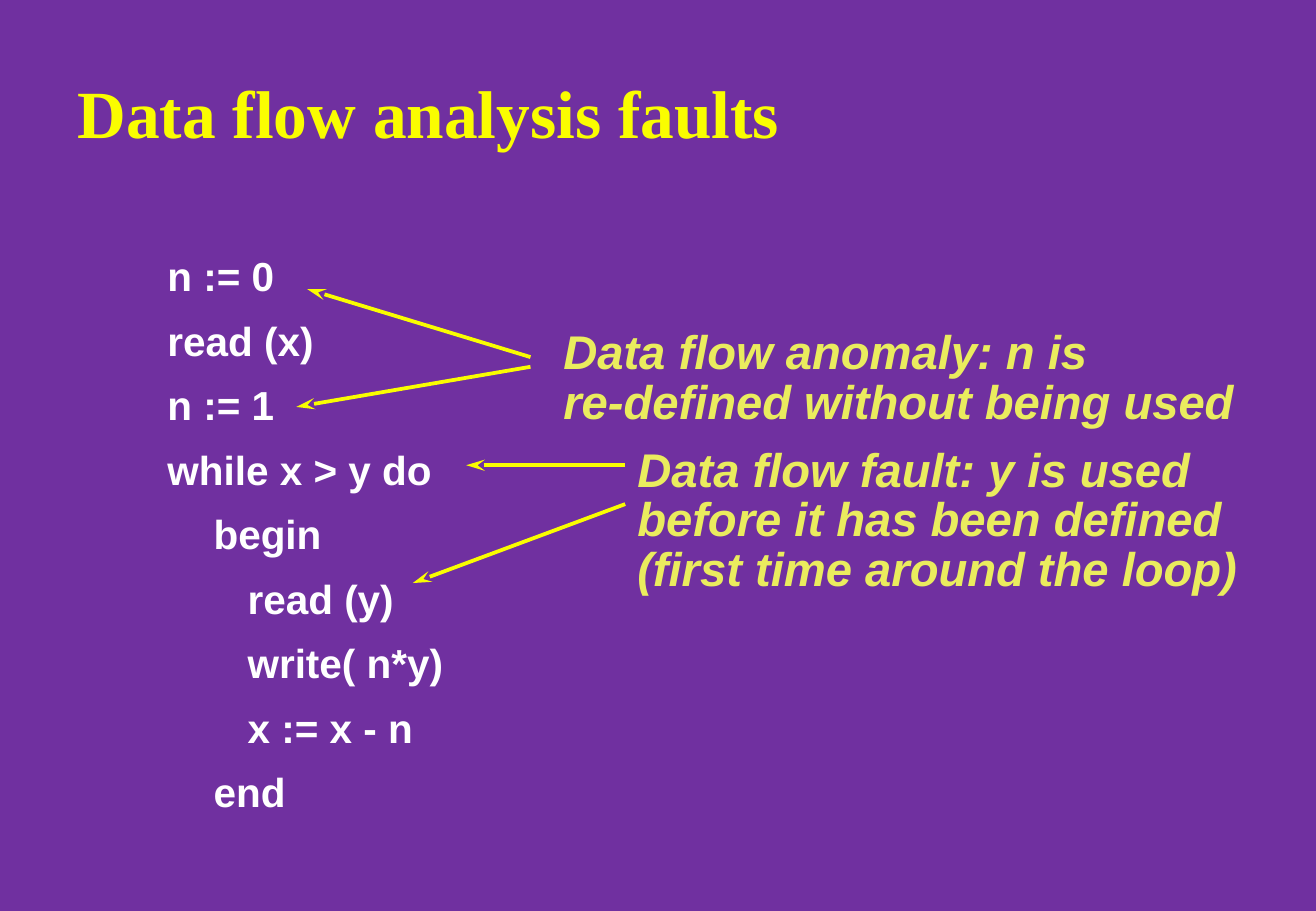
from dataclasses import dataclass

import lxml.etree
import pptx
import pptx.dml.color
import pptx.enum.shapes
import pptx.enum.text
import pptx.oxml.ns
import pptx.util

Inches = pptx.util.Inches
Pt = pptx.util.Pt


@dataclass
class Theme:
    background: str = "7030A0"
    accent: str = "FAFD00"
    code: str = "FFFFFF"
    note: str = "EAEC5E"
    heading_font: str = "Times New Roman"
    body_font: str = "Arial"
    title_size: float = 40
    code_size: float = 24
    note_size: float = 28
    line_width: float = 2.25


def rgb(value):
    return pptx.dml.color.RGBColor.from_string(value)


class Deck:
    def __init__(self, theme):
        self.theme = theme
        self.prs = pptx.Presentation()
        self.prs.slide_width = Inches(10.84)
        self.prs.slide_height = Inches(7.5)
        self.s = self.prs.slides.add_slide(self.prs.slide_layouts[6])
        fill = self.s.background.fill
        fill.solid()
        fill.fore_color.rgb = rgb(theme.background)

    def text(self, shapes, box, lines, font, size, color, margins=(0.07, 0.03),
             italic=False, spacing=None):
        sp = shapes.add_textbox(*map(Inches, box))
        tf = sp.text_frame
        tf.word_wrap = True
        tf.margin_left = tf.margin_right = Inches(margins[0])
        tf.margin_top = tf.margin_bottom = Inches(margins[1])
        tf.text = "\n".join(lines)
        for p in tf.paragraphs:
            p.line_spacing = spacing
            for r in p.runs:
                r.font.name = font
                r.font.size = Pt(size)
                r.font.bold = True
                r.font.italic = italic
                r.font.color.rgb = rgb(color)
        return tf

    def title(self, box, line):
        t = self.theme
        tf = self.text(self.s.shapes, box, [line], t.heading_font, t.title_size,
                       t.accent, margins=(0.1, 0.05))
        tf.vertical_anchor = pptx.enum.text.MSO_ANCHOR.MIDDLE

    def code(self, box, lines, indents):
        t = self.theme
        tf = self.text(self.s.shapes, box, [line for _, line in lines],
                       t.body_font, t.code_size, t.code, spacing=0.88)
        for p, (level, _) in zip(tf.paragraphs, lines):
            p.space_before = Pt(12.9)
            p._p.get_or_add_pPr().set("marL", str(Inches(indents[level])))

    def arrow(self, shapes, start, end):
        c = shapes.add_connector(pptx.enum.shapes.MSO_CONNECTOR.STRAIGHT,
                                 *map(Inches, start + end))
        c.line.color.rgb = rgb(self.theme.accent)
        c.line.width = Pt(self.theme.line_width)
        qn = pptx.oxml.ns.qn
        ln = c.line._get_or_add_ln()
        lxml.etree.SubElement(ln, qn("a:tailEnd"), type="stealth", len="lg")
        lxml.etree.SubElement(c._element.spPr, qn("a:effectLst"))

    def note(self, box, lines, arrows):
        t = self.theme
        shapes = self.s.shapes.add_group_shape().shapes
        self.text(shapes, box, lines, t.body_font, t.note_size, t.note,
                  italic=True, spacing=0.87)
        for start, end in arrows:
            self.arrow(shapes, start, end)


def main():
    deck = Deck(Theme())
    deck.title((0.54, 0.58, 9.21, 0.67), "Data flow analysis faults")
    deck.code(
        (1.31, 2.09, 3.13, 4.65),
        [(0, "n := 0"), (0, "read (x)"), (0, "n := 1"), (0, "while x > y do"),
         (1, "begin"), (2, "read (y)"), (2, "write( n*y)"), (2, "x := x - n"),
         (1, "end")],
        indents=(0, 0.38, 0.66),
    )
    deck.note(
        (4.57, 2.69, 5.8, 0.87),
        ["Data flow anomaly: n is", "re-defined without being used"],
        [((4.37, 3.02), (2.44, 3.35)), ((4.37, 2.94), (2.53, 2.38))],
    )
    deck.note(
        (5.18, 3.66, 5.2, 1.28),
        ["Data flow fault: y is used", "before it has been defined",
         "(first time around the loop)"],
        [((5.15, 3.83), (3.84, 3.83)), ((5.15, 4.15), (3.4, 4.8))],
    )
    deck.prs.save("out.pptx")


if __name__ == "__main__":
    main()
